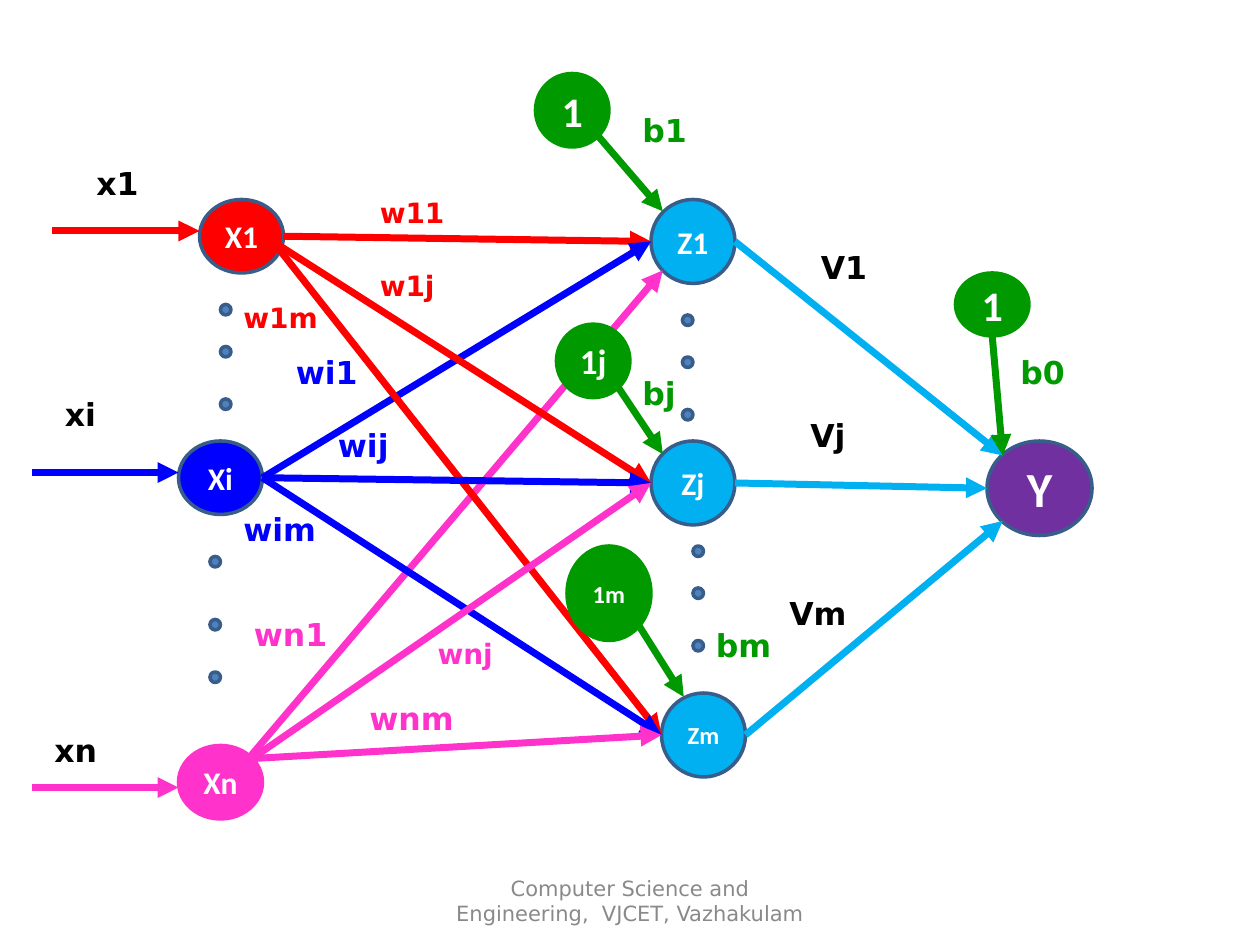
from typing import NamedTuple, Optional

from lxml.etree import SubElement
from pptx import Presentation
from pptx.dml.color import RGBColor
from pptx.enum.shapes import MSO_CONNECTOR, MSO_SHAPE
from pptx.enum.text import MSO_ANCHOR, MSO_AUTO_SIZE, PP_ALIGN
from pptx.oxml.ns import qn
from pptx.util import Emu, Pt

PX = 9525
BLACK = RGBColor(0x00, 0x00, 0x00)
WHITE = RGBColor(0xFF, 0xFF, 0xFF)
GRAY = RGBColor(0x89, 0x89, 0x89)
GREEN = RGBColor(0x00, 0x99, 0x00)
RED = RGBColor(0xFF, 0x00, 0x00)
BLUE = RGBColor(0x00, 0x00, 0xFF)
PINK = RGBColor(0xFF, 0x33, 0xCC)
SKY = RGBColor(0x00, 0xB0, 0xF0)
PURPLE = RGBColor(0x70, 0x30, 0xA0)
STEEL = RGBColor(0x4F, 0x81, 0xBD)
NAVY = RGBColor(0x38, 0x5D, 0x8A)


class Node(NamedTuple):
    text: str
    x: int
    y: int
    w: int
    h: int
    fill: RGBColor
    edge: RGBColor
    size: int = 18


class Label(NamedTuple):
    text: str
    x: int
    y: int
    w: int
    color: RGBColor = BLACK
    size: int = 18


class Link(NamedTuple):
    start: tuple[int, int]
    end: tuple[int, int]
    color: RGBColor
    label: Optional[Label] = None


def px(*vals: int) -> list[Emu]:
    return [Emu(val * PX) for val in vals]


def style(item, form: dict) -> None:
    for key, val in form.items():
        setattr(item, key, val)


def write(frame, text: str, face: str, size: int, color: RGBColor, bold: bool = True) -> None:
    frame.text = text
    font = frame.paragraphs[0].font
    style(font, {"name": face, "size": Pt(size), "bold": bold})
    font.color.rgb = color


def draw_node(slide, node: Node) -> None:
    oval = slide.shapes.add_shape(MSO_SHAPE.OVAL, *px(node.x, node.y, node.w, node.h))
    oval.shadow.inherit = False
    oval.fill.solid()
    oval.fill.fore_color.rgb = node.fill
    oval.line.color.rgb = node.edge
    oval.line.width = Pt(2)
    if node.text:
        write(oval.text_frame, node.text, "Calibri", node.size, WHITE)
        style(oval.text_frame, {"word_wrap": False, "vertical_anchor": MSO_ANCHOR.MIDDLE})
        oval.text_frame.paragraphs[0].alignment = PP_ALIGN.CENTER


def draw_label(slide, label: Label) -> None:
    high = 38 if label.size == 18 else 35
    box = slide.shapes.add_textbox(*px(label.x, label.y, label.w, high))
    write(box.text_frame, label.text, "DejaVu Sans", label.size, label.color)
    style(box.text_frame, {"word_wrap": True, "auto_size": MSO_AUTO_SIZE.SHAPE_TO_FIT_TEXT})


def draw_link(slide, link: Link) -> None:
    line = slide.shapes.add_connector(MSO_CONNECTOR.STRAIGHT, *px(*link.start, *link.end))
    line.line.color.rgb = link.color
    line.line.width = Pt(4)
    props = line.element.spPr
    SubElement(props.find(qn("a:ln")), qn("a:tailEnd"), type="triangle")
    SubElement(props, qn("a:effectLst"))
    if link.label:
        draw_label(slide, link.label)


def draw_foot(slide) -> None:
    box = slide.shapes.add_textbox(*px(328, 667, 304, 38))
    text = "Computer Science and Engineering,  VJCET, Vazhakulam"
    write(box.text_frame, text, "DejaVu Sans", 12, GRAY, False)
    style(box.text_frame, {"word_wrap": True, "vertical_anchor": MSO_ANCHOR.MIDDLE})
    box.text_frame.paragraphs[0].alignment = PP_ALIGN.CENTER


NODES = [
    Node("1", 408, 56, 56, 56, GREEN, GREEN, 24),
    Node("X1", 152, 152, 64, 56, RED, NAVY),
    Node("Xi", 136, 336, 64, 56, BLUE, NAVY),
    Node("Xn", 136, 568, 64, 56, PINK, PINK),
    Node("Z1", 496, 152, 64, 64, SKY, NAVY),
    Node("Zj", 496, 336, 64, 64, SKY, NAVY),
    Node("Zm", 504, 528, 64, 64, SKY, NAVY, 14),
    Node("Y", 752, 336, 80, 72, PURPLE, NAVY, 28),
    Node("1", 728, 208, 56, 48, GREEN, GREEN, 24),
]
HUBS = [
    Node("1j", 424, 247, 56, 56, GREEN, GREEN, 20),
    Node("1m", 432, 416, 64, 72, GREEN, GREEN, 14),
]
X1, XI, XN = (208, 184), (200, 364), (192, 578)
Z1, ZJ, ZM = (496, 184), (496, 368), (504, 560)
Y = (764, 347)

LINKS = [
    Link((40, 176), (152, 176), RED, Label("x1", 64, 120, 56)),
    Link((24, 360), (136, 360), BLUE, Label("xi", 40, 296, 56)),
    Link((24, 600), (136, 600), PINK, Label("xn", 32, 552, 56)),
    Link((216, 180), Z1, RED, Label("w11", 280, 144, 88, RED, 16)),
    Link(XI, Z1, BLUE, Label("wi1", 216, 264, 72, BLUE)),
    Link((191, 576), (505, 206), PINK, Label("wn1", 184, 464, 88, PINK)),
    Link(X1, ZJ, RED, Label("w1j", 280, 200, 88, RED, 16)),
    Link(X1, ZM, RED, Label("w1m", 176, 224, 88, RED, 16)),
    Link(XI, ZJ, BLUE, Label("wij", 248, 320, 72, BLUE)),
    Link(XI, ZM, BLUE, Label("wim", 176, 384, 88, BLUE)),
    Link(XN, ZJ, PINK, Label("wnj", 324, 480, 88, PINK, 16)),
    Link(XN, ZM, PINK, Label("wnm", 272, 528, 88, PINK)),
    Link((560, 184), Y, SKY, Label("V1", 616, 184, 56)),
    Link((560, 368), (752, 372), SKY, Label("Vj", 608, 312, 56)),
    Link((568, 560), (764, 397), SKY, Label("Vm", 592, 448, 72)),
]
TAGS = [
    Label("b1", 480, 80, 72, GREEN),
    Label("bj", 480, 280, 72, GREEN),
    Label("bm", 536, 472, 72, GREEN),
    Label("b0", 768, 264, 72, GREEN),
]
BIAS = [
    Link((456, 104), (505, 161), GREEN),
    Link((471, 295), (505, 346), GREEN),
    Link((487, 477), (521, 531), GREEN),
    Link((756, 256), Y, GREEN),
]
DOTS = {
    168: (232, 264, 304),
    160: (424, 472, 512),
    520: (240, 272, 312),
    528: (416, 448, 488),
}


def main() -> None:
    deck = Presentation()
    style(deck, dict(zip(("slide_width", "slide_height"), px(960, 720))))
    slide = deck.slides.add_slide(deck.slide_layouts[6])
    dots = [Node("", x, y, 8, 8, STEEL, NAVY) for x, tops in DOTS.items() for y in tops]
    for draw, items in (
        (draw_node, NODES),
        (draw_link, LINKS),
        (draw_label, TAGS),
        (draw_node, HUBS),
        (draw_link, BIAS),
        (draw_node, dots),
    ):
        for item in items:
            draw(slide, item)
    draw_foot(slide)
    deck.save("out.pptx")


if __name__ == "__main__":
    main()
